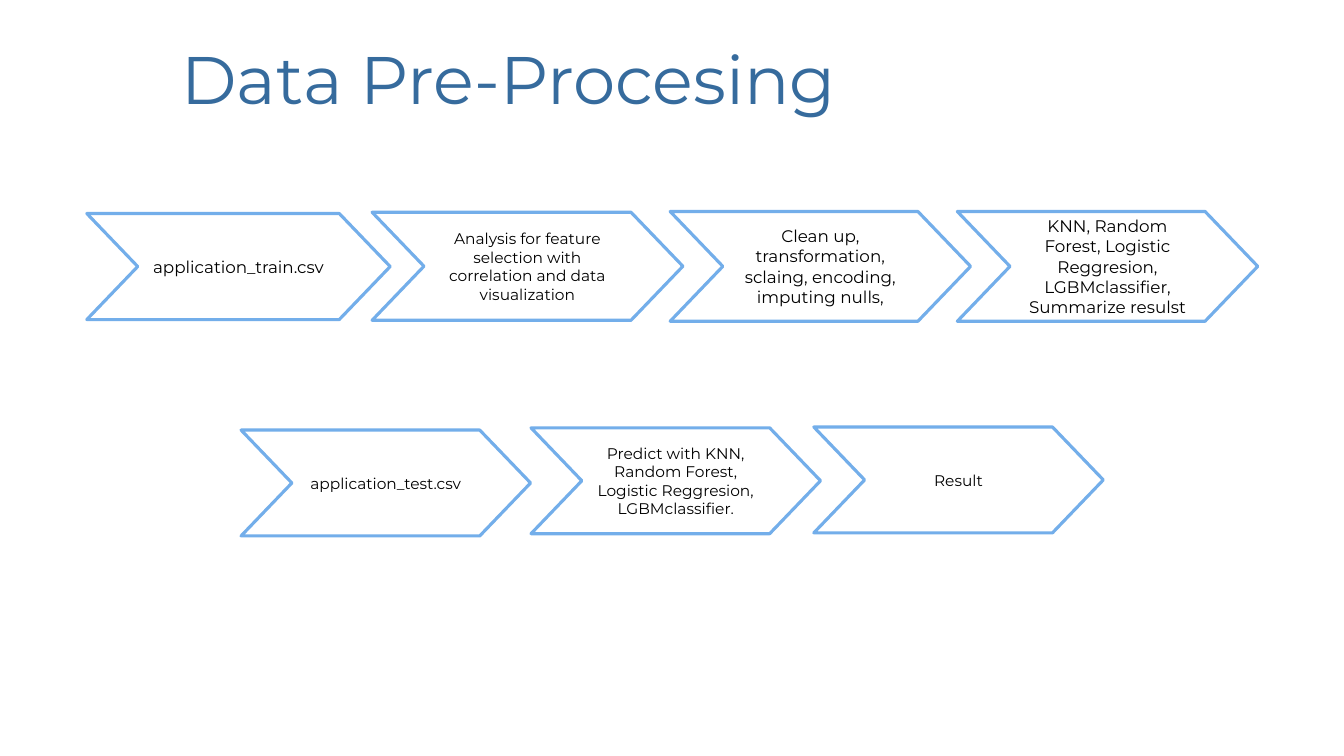
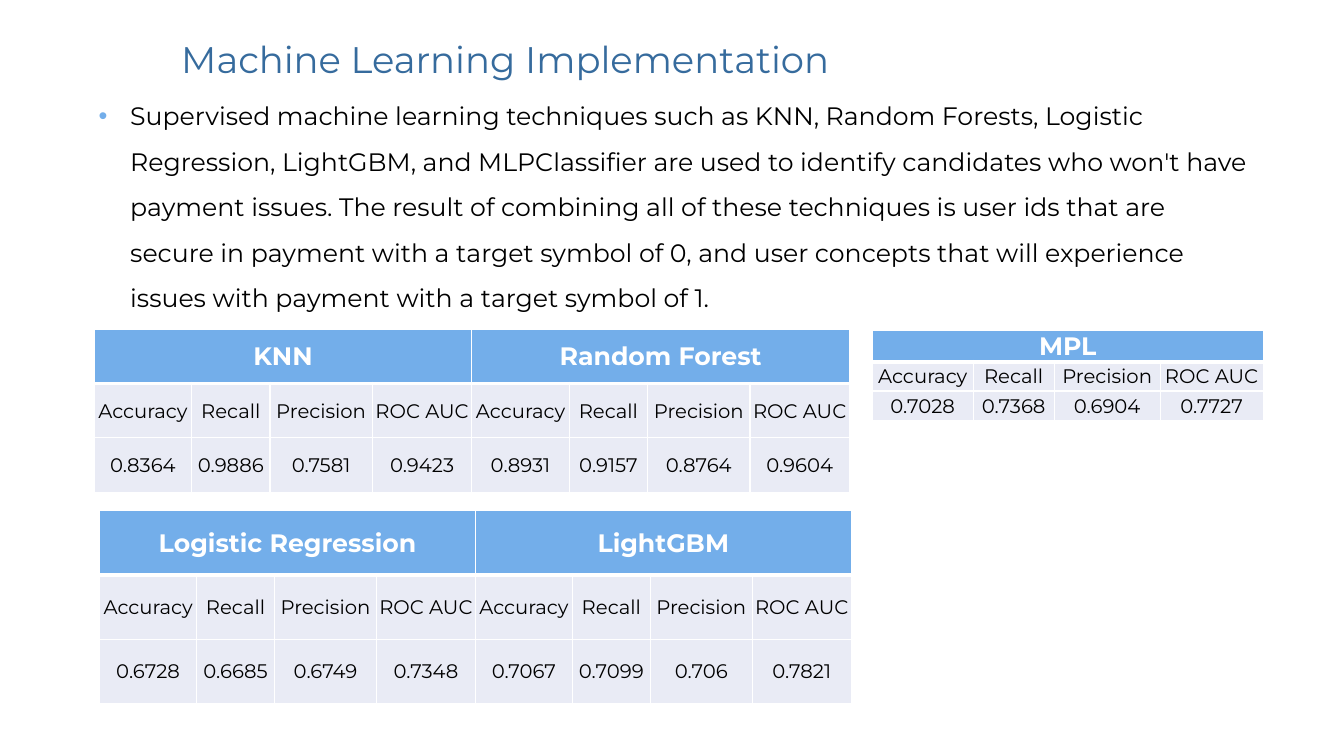
import pptx
import pptx.util
import pptx.dml.color
import pptx.enum.shapes
import pptx.enum.text
import pptx.oxml
import pptx.oxml.ns

Pt = pptx.util.Pt
RGB = pptx.dml.color.RGBColor
ALIGN = pptx.enum.text.PP_ALIGN
ANCHOR = pptx.enum.text.MSO_ANCHOR
NAVY = RGB(0x36, 0x6B, 0x9D)
SKY = RGB(0x73, 0xAE, 0xEA)
PALE = RGB(0xE9, 0xEB, 0xF5)
BLACK = RGB(0, 0, 0)
WHITE = RGB(255, 255, 255)
FONT = "Montserrat"
NS = pptx.oxml.ns.nsdecls("a")


def write(frame, text, size=14, color=BLACK, bold=False, align=ALIGN.CENTER,
          anchor=ANCHOR.MIDDLE, space=1.0):
    """Put one formatted paragraph in a text frame and return it."""
    frame.word_wrap = True
    frame.vertical_anchor = anchor
    para = frame.paragraphs[0]
    para.alignment = align
    para.line_spacing = space
    run = para.add_run()
    run.text = text
    run.font.name = FONT
    run.font.size = Pt(size)
    run.font.bold = bold
    run.font.color.rgb = color
    return para


def edge(cell, base):
    """Give a table cell white borders, with the bottom one of width base."""
    props = cell._tc.get_or_add_tcPr()
    for spot, (side, width) in enumerate(
            [("lnL", 1), ("lnR", 1), ("lnT", 1), ("lnB", base)]):
        props.insert(spot, pptx.oxml.parse_xml(
            f'<a:{side} {NS} w="{Pt(width)}"><a:solidFill>'
            f'<a:srgbClr val="{WHITE}"/></a:solidFill></a:{side}>'))


deck = pptx.Presentation()
deck.slide_width, deck.slide_height = Pt(960), Pt(540)

# Titles: text, left, top, width, height, top inset, size, line spacing
titles = [
    ("Data Pre-Procesing", 122.4, 31, 650, 108.7, 2, 48, 0.9),
    ("Machine Learning Implementation", 122.4, 16, 494.6, 97, 19, 26.4, 0.7),
]
pages = []
for text, left, top, width, height, inset, size, space in titles:
    page = deck.slides.add_slide(deck.slide_layouts[6])
    box = page.shapes.add_textbox(Pt(left), Pt(top), Pt(width), Pt(height))
    box.text_frame.margin_top = Pt(inset)
    write(box.text_frame, text, size=size, color=NAVY, align=ALIGN.LEFT,
          anchor=ANCHOR.TOP, space=space)
    pages.append(page)
flow, models = pages

# Steps: left, top, width, height, text size, text
steps = [
    (62, 152.5, 216.7, 75.8, 12, "application_train.csv"),
    (265.8, 151.6, 222, 77.2, 11,
     "Analysis for feature selection with correlation and data visualization"),
    (478.7, 151.1, 214.6, 78.4, 12,
     "Clean up, transformation, sclaing, encoding, imputing nulls,"),
    (683.8, 151.1, 214.6, 78.4, 12,
     "KNN, Random Forest, Logistic Reggresion, LGBMclassifier, "
     "Summarize resulst"),
    (172.2, 307.2, 206.8, 75.6, 11, "application_test.csv"),
    (379.3, 305.6, 206.8, 75.6, 11,
     "Predict with KNN, Random Forest, Logistic Reggresion, LGBMclassifier."),
    (581.3, 305, 206.8, 75.6, 11, "Result"),
]
for left, top, width, height, size, text in steps:
    step = flow.shapes.add_shape(pptx.enum.shapes.MSO_SHAPE.CHEVRON,
                                 Pt(left), Pt(top), Pt(width), Pt(height))
    step.adjustments[0] = 0.48
    step.shadow.inherit = False
    step.fill.background()
    step.line.color.rgb = SKY
    step.line.width = Pt(2.25)
    write(step.text_frame, text, size=size)

body = models.shapes.add_textbox(Pt(63.4), Pt(57.6), Pt(838.8), Pt(167))
para = write(
    body.text_frame,
    "Supervised machine learning techniques such as KNN, Random Forests, "
    "Logistic Regression, LightGBM, and MLPClassifier are used to identify "
    "candidates who won't have payment issues. The result of combining all of "
    "these techniques is user ids that are secure in payment with a target "
    "symbol of 0, and user concepts that will experience issues with payment "
    "with a target symbol of 1.",
    size=18, align=ALIGN.LEFT, anchor=ANCHOR.TOP, space=1.5)
props = para._p.get_or_add_pPr()
props.set("marL", str(Pt(22.5)))
props.set("indent", str(Pt(-22.5)))
for mark in (f'<a:buClr {NS}><a:srgbClr val="{SKY}"/></a:buClr>',
             f'<a:buFont {NS} typeface="Arial"/>',
             f'<a:buChar {NS} char="\u2022"/>'):
    props.append(pptx.oxml.parse_xml(mark))

HEADS = ["Accuracy", "Recall", "Precision", "ROC AUC"]
PARTS = [97, 78, 102, 99]
COUNT = len(HEADS)

# Tables: left, top, width of one model, row height, scores by model
tables = [
    (67.3, 235, 269.8, 38.9,
     {"KNN": ["0.8364", "0.9886", "0.7581", "0.9423"],
      "Random Forest": ["0.8931", "0.9157", "0.8764", "0.9604"]}),
    (71.2, 364.6, 268.5, 46,
     {"Logistic Regression": ["0.6728", "0.6685", "0.6749", "0.7348"],
      "LightGBM": ["0.7067", "0.7099", "0.706", "0.7821"]}),
    (623.1, 236, 279.2, 21,
     {"MPL": ["0.7028", "0.7368", "0.6904", "0.7727"]}),
]
for left, top, width, height, scores in tables:
    total = COUNT * len(scores)
    table = models.shapes.add_table(
        3, total, Pt(left), Pt(top), Pt(width * len(scores)),
        Pt(height * 3)).table
    table.horz_banding = False
    for row in table.rows:
        row.height = Pt(height)
    for col in range(total):
        share = PARTS[col % COUNT] / sum(PARTS)
        table.columns[col].width = Pt(width * share)
    for cell in table.iter_cells():
        cell.margin_left = cell.margin_right = cell.margin_top = Pt(0.7)
        cell.margin_bottom = 0
        cell.vertical_anchor = ANCHOR.MIDDLE
        cell.fill.solid()
        cell.fill.fore_color.rgb = PALE
    for group, (model, values) in enumerate(scores.items()):
        first = group * COUNT
        for col in range(first, first + COUNT):
            table.cell(0, col).fill.fore_color.rgb = SKY
            for row in range(3):
                edge(table.cell(row, col), 1 if row else 3)
            for row, texts in enumerate((HEADS, values), 1):
                write(table.cell(row, col).text_frame, texts[col - first],
                      anchor=None)
        head = table.cell(0, first)
        head.merge(table.cell(0, first + COUNT - 1))
        write(head.text_frame, model, size=18, color=WHITE, bold=True,
              anchor=None)

deck.save("out.pptx")
